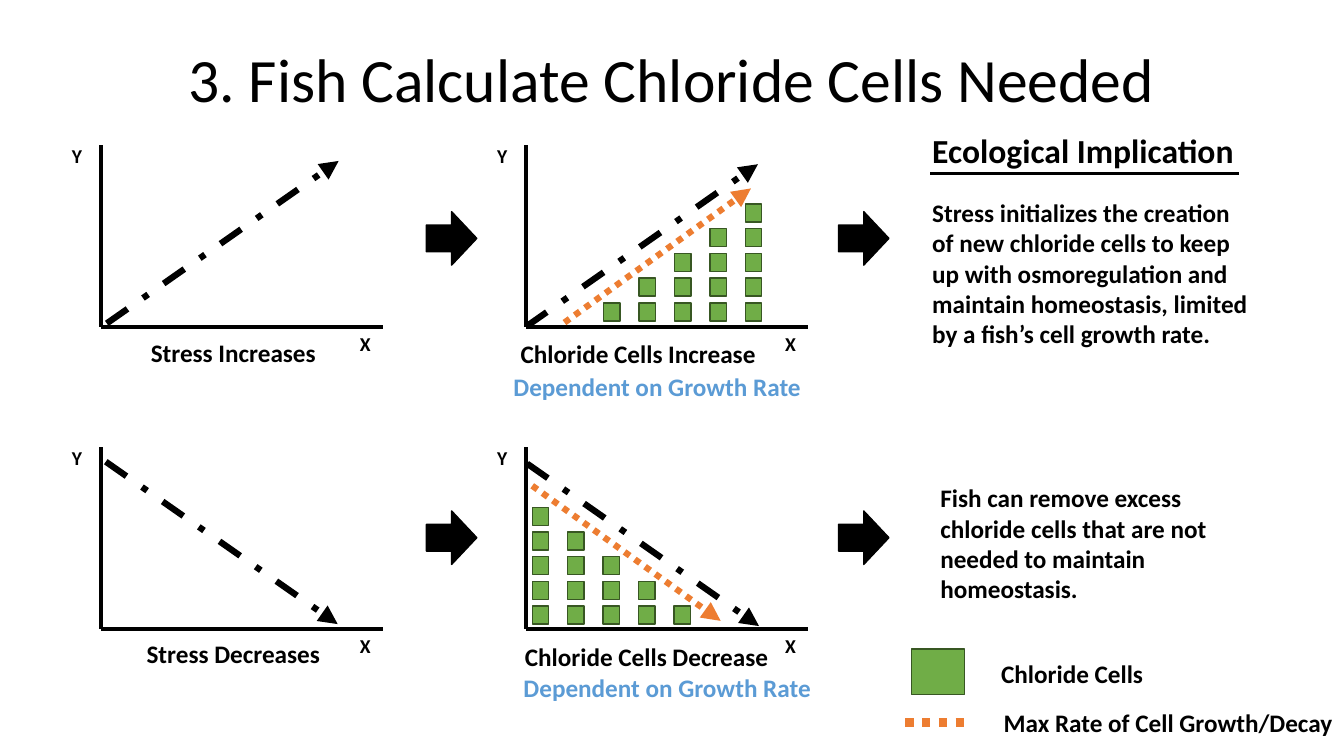
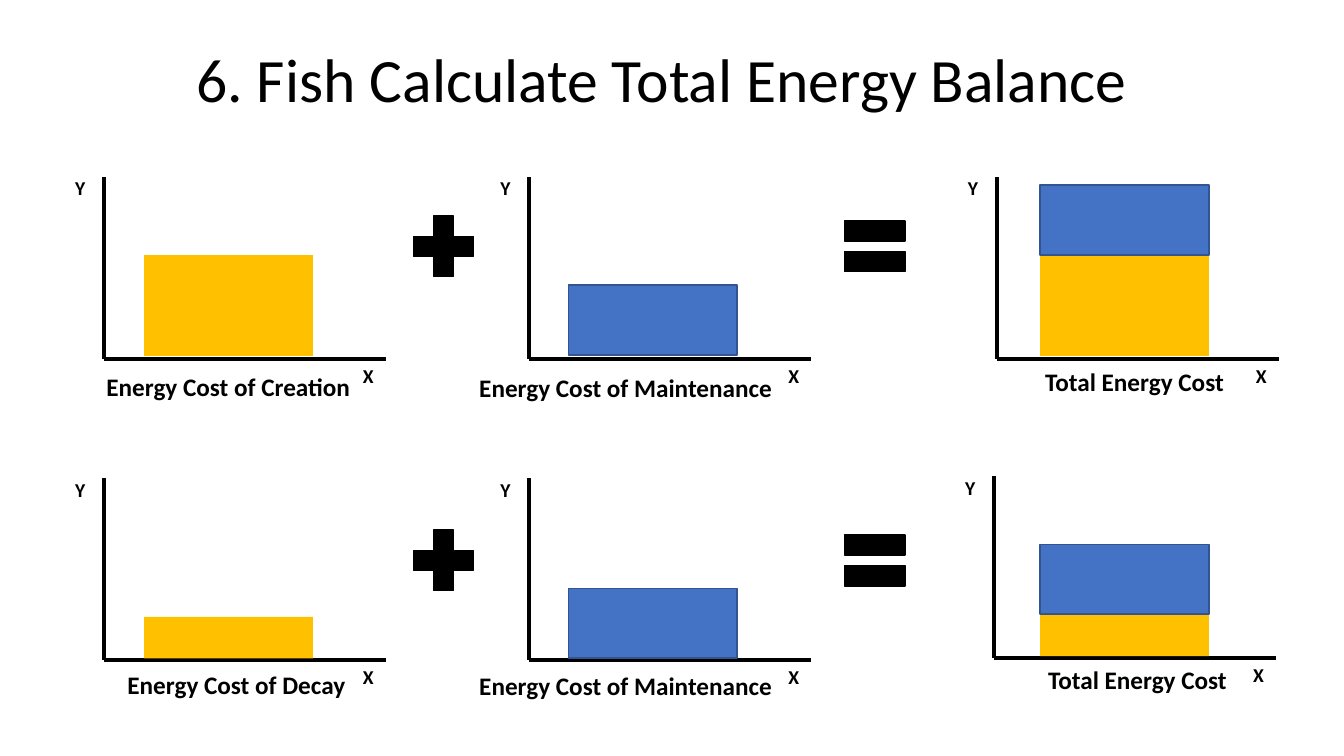
"""Build two slides on how fish plan chloride cells and energy."""
from dataclasses import dataclass

from lxml.etree import SubElement
from pptx import Presentation
from pptx.dml.color import RGBColor
from pptx.enum.dml import MSO_LINE
from pptx.enum.shapes import MSO_CONNECTOR, MSO_SHAPE
from pptx.enum.text import MSO_ANCHOR, PP_ALIGN
from pptx.oxml.ns import qn
from pptx.util import Pt


@dataclass(frozen=True)
class Theme:
    font: str = "Calibri"
    black: str = "000000"
    green: str = "70AD47"
    moss: str = "385723"
    orange: str = "ED7D31"
    sky: str = "5B9BD5"
    gold: str = "FFC000"
    blue: str = "4472C4"
    navy: str = "325491"
    title: int = 44
    head: int = 24
    body: int = 18
    mark: int = 14


LEFT, MID, RIGHT = PP_ALIGN.LEFT, PP_ALIGN.CENTER, PP_ALIGN.RIGHT


class Deck:
    def __init__(self, theme):
        self.theme = theme
        self.file = Presentation()
        self.file.slide_width, self.file.slide_height = Pt(960), Pt(540)
        self.slide = None

    def page(self, title, x, y):
        self.slide = self.file.slides.add_slide(self.file.slide_layouts[6])
        frame = self.text(title, x, y, 828, 104.4, MID, size=Pt(self.theme.title), bold=False)
        frame.vertical_anchor = MSO_ANCHOR.MIDDLE
        frame.paragraphs[0].line_spacing = 0.9

    def text(self, words, x, y, w, h=29, align=MID, color=None, **style):
        frame = self.slide.shapes.add_textbox(Pt(x), Pt(y), Pt(w), Pt(h)).text_frame
        frame.word_wrap = True
        para = frame.paragraphs[0]
        para.alignment = align
        run = para.add_run()
        run.text = words
        form = {"name": self.theme.font, "size": Pt(self.theme.body), "bold": True, **style}
        for key, value in form.items():
            setattr(run.font, key, value)
        run.font.color.rgb = RGBColor.from_string(color or self.theme.black)
        return frame

    def box(self, x, y, w, h, fill, edge=None, kind=MSO_SHAPE.RECTANGLE):
        shape = self.slide.shapes.add_shape(kind, Pt(x), Pt(y), Pt(w), Pt(h))
        shape.shadow.inherit = False
        shape.fill.solid()
        shape.fill.fore_color.rgb = RGBColor.from_string(fill)
        if edge:
            shape.line.color.rgb = RGBColor.from_string(edge)
            shape.line.width = Pt(1)
        else:
            shape.line.fill.background()

    def line(self, x1, y1, x2, y2, width=3, color=None, dash=None, arrow=False):
        link = self.slide.shapes.add_connector(
            MSO_CONNECTOR.STRAIGHT, Pt(x1), Pt(y1), Pt(x2), Pt(y2))
        link.line.color.rgb = RGBColor.from_string(color or self.theme.black)
        for key, value in {"width": Pt(width), "dash_style": dash}.items():
            setattr(link.line, key, value)
        props = link._element.spPr
        if arrow:
            SubElement(props.find(qn("a:ln")), qn("a:tailEnd"), type="triangle")
        SubElement(props, qn("a:effectLst"))

    def trend(self, x1, y1, rise, run=165.6, color=None, dash=MSO_LINE.DASH_DOT):
        self.line(x1, y1, x1 + run, y1 - rise, 4.5, color, dash, True)

    def axes(self, x, y):
        self.line(x, y, x, y - 130)
        self.line(x, y, x + 201.6, y)
        for mark, dx, dy in (("X", 178, 0), ("Y", -27.7, -134)):
            self.text(mark, x + dx, y + dy, 46, 32, LEFT, size=Pt(self.theme.mark))

    def cells(self, x, y, counts):
        for col, count in enumerate(counts):
            for row in range(count):
                self.box(x + col * 25.3, y - row * 17.65, 11.8, 12.8,
                         self.theme.green, self.theme.moss)

    def bar(self, x, y, w, h):
        self.box(x - w / 2, y - h / 2, w, h, self.theme.black, self.theme.black)

    def plus(self, x, y):
        self.bar(x, y, 14.4, 43.2)
        self.bar(x, y, 43.2, 14.4)

    def equal(self, x, y):
        for gap in (-11, 11):
            self.bar(x, y + gap, 43.2, 14.4)

    def cost(self, x, base, h):
        self.box(x, base - h, 120.5, h, self.theme.gold)

    def upkeep(self, x, base):
        self.box(x, base - 49.9, 120.5, 49.9, self.theme.blue, self.theme.navy)


def growth(deck):
    theme = deck.theme
    deck.page("3. Fish Calculate Chloride Cells Needed", 66, 7)
    for y, top in ((233.3, 151.2), (449.3, 365)):
        for x in (72, 375.8):
            deck.axes(x, y)
        for x in (304.6, 599):
            deck.box(x, top, 36, 38.2, theme.black, theme.black, MSO_SHAPE.RIGHT_ARROW)
    for x, y, rise in ((76.3, 231, 116), (375.8, 233.3, 116),
                       (75.6, 329.8, -116), (376.6, 331.2, -116)):
        deck.trend(x, y, rise)
    deck.cells(431.2, 216.4, range(1, 6))
    deck.cells(380.2, 433, range(5, 0, -1))
    for x, y, rise, run in ((403.2, 230.4, 95.8, 133.2), (380.2, 347, -96.5, 134.6)):
        deck.trend(x, y, rise, run, theme.orange, MSO_LINE.ROUND_DOT)
    for words, x, y in (("Stress Increases", 10.8, 237.6), ("Stress Decreases", 10.8, 452.2),
                        ("Chloride Cells Increase", 300, 238.3),
                        ("Chloride Cells Decrease", 306, 454.3)):
        deck.text(words, x, y, 311.8)
    for x, y in ((348.6, 261.4), (355.8, 476.6)):
        deck.text("Dependent on Growth Rate", x, y, 241.6, color=theme.sky)
    deck.text("Ecological Implication", 658.8, 89.3, 250, 36, LEFT, size=Pt(theme.head))
    deck.line(664.6, 123.8, 884.9, 123.8, 2.25)
    for words, x, y in (
            ("Stress initializes the creation of new chloride cells to keep up with "
             "osmoregulation and maintain homeostasis, limited by a fish’s cell growth rate.",
             658.8, 137.5),
            ("Fish can remove excess chloride cells that are not needed to maintain "
             "homeostasis.", 664.6, 341.3)):
        deck.text(words, x, y, 242.6, 117, LEFT)
    deck.box(650.9, 463.7, 38.2, 32.4, theme.green, theme.moss)
    deck.line(646.6, 516.2, 693.4, 516.2, 6, theme.orange, MSO_LINE.ROUND_DOT)
    for words, y, edge in (("Chloride Cells", 466.6, 823.7),
                           ("Max Rate of Cell Growth/Decay", 501.8, 959)):
        deck.text(words, edge - 260, y, 260, align=RIGHT)


def energy(deck):
    deck.page("6. Fish Calculate Total Energy Balance", 59, 6.5)
    for y, spots in ((256.3, (74.2, 378, 712)), (471.6, (74.2, 378))):
        for x in spots:
            deck.axes(x, y)
    deck.axes(710, 470.2)
    for y in (176, 400.3):
        deck.plus(316.8, y)
        deck.equal(625, y)
    for words, x, y in (("Energy Cost of Creation", 7.2, 261.4),
                        ("Energy Cost of Decay", 13, 474.5),
                        ("Energy Cost of Maintenance", 291, 262.1),
                        ("Energy Cost of Maintenance", 291, 475.2),
                        ("Total Energy Cost", 654.5, 257.8),
                        ("Total Energy Cost", 656.6, 470.9)):
        deck.text(words, x, y, 311.8)
    for x, base, h in ((103, 254.2, 72), (103, 470.2, 29.5),
                       (743, 254.2, 72), (743, 468.7, 29.5)):
        deck.cost(x, base, h)
    for x, base in ((406.1, 253.6), (406.1, 470.2), (743, 182.2), (743, 438.7)):
        deck.upkeep(x, base)


def main():
    deck = Deck(Theme())
    growth(deck)
    energy(deck)
    deck.file.save("out.pptx")


if __name__ == "__main__":
    main()
